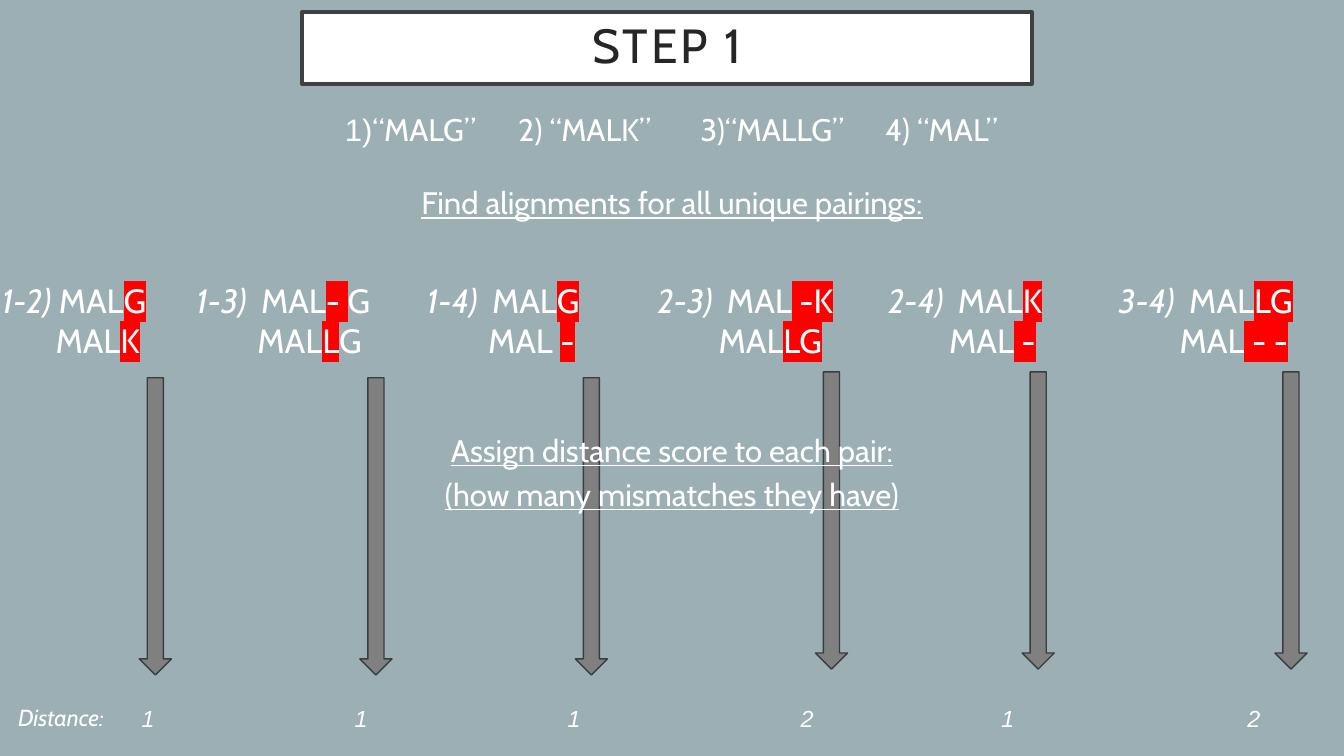
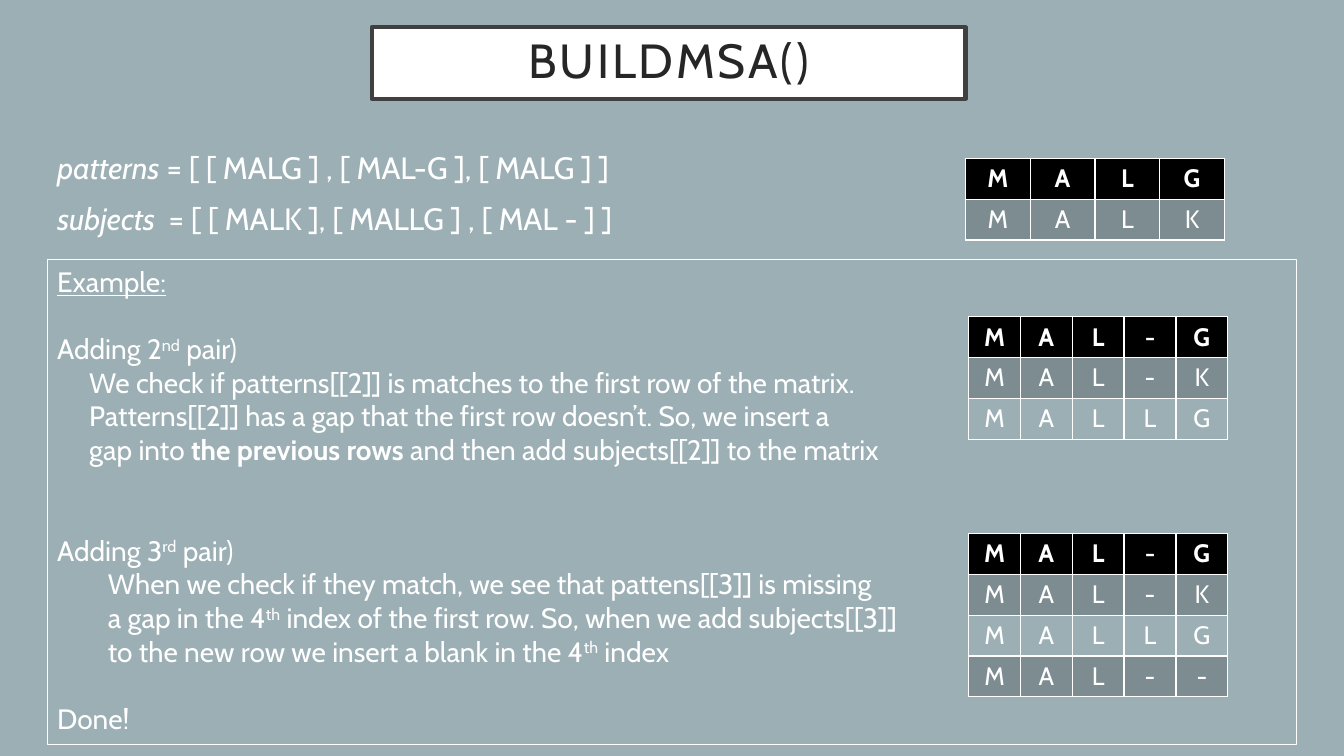
import dataclasses

import lxml.etree
import pptx
import pptx.dml.color
import pptx.enum.shapes
import pptx.enum.text
import pptx.oxml.ns
import pptx.util

Cm = pptx.util.Cm
Pt = pptx.util.Pt
qn = pptx.oxml.ns.qn
ALIGN = pptx.enum.text.PP_ALIGN
ANCHOR = pptx.enum.text.MSO_ANCHOR
SHAPE = pptx.enum.shapes.MSO_SHAPE


@dataclasses.dataclass(frozen=True)
class Theme:
    font: str = "Cabin"
    digit_font: str = "Arial"
    background: str = "9BAFB5"
    text: str = "FFFFFF"
    title_text: str = "262626"
    title_fill: str = "FFFFFF"
    title_line: str = "404040"
    arrow_fill: str = "808080"
    arrow_line: str = "383E40"
    mismatch: str = "FF0000"
    header_row: str = "000000"
    band_row: str = "7C8C91"
    title_size: float = 34.2
    sequence_size: float = 24
    heading_size: float = 22.2
    list_size: float = 22
    example_size: float = 20
    cell_size: float = 18
    distance_size: float = 16.6


THEME = Theme()
ITALIC = {"italic": True}
MISMATCH = {"highlight": THEME.mismatch}
RAISED = {"raised": True}
DIGIT = {"font": THEME.digit_font}

SEQUENCES = [
    (8.44, [("1)", DIGIT), "“MALG”"]),
    (12.81, ["2) “MALK”"]),
    (17.4, ["3)“MALLG”"]),
    (22.06, ["4) “MAL”"]),
]
PAIRS = [
    ("1-2)", ["MAL", ("G", MISMATCH)], ["MAL", ("K", MISMATCH)]),
    ("1-3)", ["MAL", ("- ", MISMATCH), "G"], ["MAL", ("L", MISMATCH), "G"]),
    ("1-4)", ["MAL", ("G", MISMATCH)], ["MAL ", ("-", MISMATCH)]),
    ("2-3)", ["MAL", (" -K", MISMATCH)], ["MAL", ("LG", MISMATCH)]),
    ("2-4)", ["MAL", ("K", MISMATCH)], ["MAL", (" -", MISMATCH)]),
    ("3-4)", ["MAL", ("LG", MISMATCH)], ["MAL", (" - -", MISMATCH)]),
]
ARROWS = [(3.51, 9.52), (9.07, 9.52), (14.5, 9.52), (20.55, 9.37), (25.76, 9.37), (32.13, 9.37)]
SCORES = [(3.73, "1"), (9.1, "1"), (14.47, "1"), (20.34, "2"), (25.4, "1"), (31.6, "2")]
MATRICES = [
    (24.33, 3.99, ["MALG", "MALK"]),
    (24.41, 7.98, ["MAL-G", "MAL-K", "MALLG"]),
    (24.41, 13.44, ["MAL-G", "MAL-K", "MALLG", "MAL--"]),
]


def rgb(value):
    return pptx.dml.color.RGBColor.from_string(value)


def paint(shape, fill, line, width):
    if fill:
        shape.fill.solid()
        shape.fill.fore_color.rgb = rgb(fill)
    else:
        shape.fill.background()
    shape.line.color.rgb = rgb(line)
    shape.line.width = Pt(width)


def place(shape, left, top, width, height):
    shape.left, shape.top = Cm(left), Cm(top)
    shape.width, shape.height = Cm(width), Cm(height)


def write_text(para, text, size, color=THEME.text, font=THEME.font, bold=False, italic=False,
               underline=False, raised=False, spacing=None, highlight=None):
    span = para.add_run()
    span.text = text
    span.font.size = Pt(size)
    span.font.bold = bold
    span.font.italic = italic
    span.font.underline = underline
    span.font.color.rgb = rgb(color)
    span.font.name = font
    properties = span.font._element
    if raised:
        properties.set("baseline", "30000")
    if spacing:
        properties.set("spc", str(int(spacing * 100)))
    if highlight:
        mark = lxml.etree.Element(qn("a:highlight"))
        lxml.etree.SubElement(mark, qn("a:srgbClr")).set("val", highlight)
        properties.find(qn("a:latin")).addprevious(mark)


def add_paragraph(frame, spans, align=ALIGN.LEFT, line=1.0, before=0, indent=0, **style):
    para = frame.paragraphs[0]
    if para.runs:
        para = frame.add_paragraph()
    para.alignment = align
    para.line_spacing = line
    para.space_before = Pt(before)
    properties = para._p.get_or_add_pPr()
    properties.set("marL", str(Cm(indent)))
    properties.set("indent", "0")
    for span in spans:
        text, changes = (span, {}) if isinstance(span, str) else span
        write_text(para, text, **{**style, **changes})


def prepare_frame(shape, anchor=ANCHOR.TOP):
    frame = shape.text_frame
    frame.word_wrap = True
    frame.auto_size = pptx.enum.text.MSO_AUTO_SIZE.NONE
    frame.vertical_anchor = anchor
    return frame


def add_text_frame(page, *position):
    return prepare_frame(page.shapes.add_textbox(*map(Cm, position)))


def add_page(deck, title, title_place, body_place):
    page = deck.slides.add_slide(deck.slide_layouts[0])
    box = page.shapes.title
    place(box, *title_place)
    paint(box, THEME.title_fill, THEME.title_line, 3)
    frame = prepare_frame(box, ANCHOR.MIDDLE)
    frame.margin_left = frame.margin_right = Cm(0.76)
    frame.margin_top = frame.margin_bottom = Cm(0.51)
    add_paragraph(frame, [title], ALIGN.CENTER, 0.9, size=THEME.title_size,
                  color=THEME.title_text, spacing=2)
    body = page.placeholders[1]
    place(body, *body_place)
    return page, prepare_frame(body)


def add_shape(page, kind, fill, line, width, *position):
    shape = page.shapes.add_shape(kind, *map(Cm, position))
    shape.shadow.inherit = False
    paint(shape, fill, line, width)
    return shape


def add_arrow_behind(page, left, top):
    arrow = add_shape(page, SHAPE.DOWN_ARROW, THEME.arrow_fill, THEME.arrow_line, 1,
                      left, top, 0.81, 7.49)
    page.shapes._spTree.insert(2, arrow._element)


def add_pair(page, left, label, first, second, gap, indent):
    frame = add_text_frame(page, left, 6.93, 5.82, 2.31)
    add_paragraph(frame, [(label, ITALIC), (" ", {"spacing": gap}), *first],
                  size=THEME.sequence_size)
    add_paragraph(frame, second, indent=indent, size=THEME.sequence_size)


def add_borders(cell):
    properties = cell._tc.get_or_add_tcPr()
    for index, side in enumerate(("a:lnL", "a:lnR", "a:lnT", "a:lnB")):
        border = lxml.etree.Element(qn(side))
        border.set("w", str(Pt(1)))
        fill = lxml.etree.SubElement(border, qn("a:solidFill"))
        lxml.etree.SubElement(fill, qn("a:srgbClr")).set("val", THEME.text)
        properties.insert(index, border)


def add_matrix(page, left, top, rows):
    width, row_height = 6.53, 1.03
    count = len(rows[0])
    table = page.shapes.add_table(len(rows), count, Cm(left), Cm(top), Cm(width),
                                  Cm(row_height * len(rows))).table
    for column in table.columns:
        column.width = Cm(width / count)
    for row_index, letters in enumerate(rows):
        table.rows[row_index].height = Cm(row_height)
        band = THEME.band_row if row_index % 2 else THEME.background
        for column_index, letter in enumerate(letters):
            cell = table.cell(row_index, column_index)
            cell.fill.solid()
            cell.fill.fore_color.rgb = rgb(band if row_index else THEME.header_row)
            add_borders(cell)
            add_paragraph(cell.text_frame, [letter], ALIGN.CENTER,
                          size=THEME.cell_size, bold=row_index == 0)


def build_step_page(deck):
    page, body = add_page(deck, "STEP 1", (7.61, 0.31, 18.39, 1.8), (0.2, 4.68, 33.47, 14.37))
    for text, before in (
        ("Find alignments for all unique pairings:", 10),
        ("Assign distance score to each pair:", 155.7),
        ("(how many mismatches they have)", 10),
    ):
        add_paragraph(body, [text], ALIGN.CENTER, 0.8, before, size=THEME.heading_size,
                      underline=True)
    add_paragraph(body, ["Distance:"], line=0.8, before=140, size=THEME.distance_size, italic=True)
    for left, spans in SEQUENCES:
        frame = add_text_frame(page, left, 2.84, 4.3, 1.3)
        add_paragraph(frame, spans, line=0.8, before=10, size=THEME.heading_size)
    for index, pair in enumerate(PAIRS):
        left = 4.7 + 5.81 * (index - 1) if index else -0.2
        gap, indent = (5, 1.54) if index else (None, 1.35)
        add_pair(page, left, *pair, gap=gap, indent=indent)
    for center, score in SCORES:
        frame = add_text_frame(page, center - 0.6, 17.62, 1.2, 0.95)
        add_paragraph(frame, [score], ALIGN.CENTER, size=THEME.distance_size, italic=True, **DIGIT)
    for position in ARROWS:
        add_arrow_behind(page, *position)


def build_matrix_page(deck):
    page, body = add_page(deck, "BUILDMSA()", (9.37, 0.69, 14.96, 1.8), (1.19, 3.63, 15.75, 3.18))
    for name, gap, value in (
        ("patterns", None, "= [ [ MALG ] , [ MAL-G ], [ MALG ] ]"),
        ("subjects", 4.6, "= [ [ MALK ], [ MALLG ] , [ MAL - ] ]"),
    ):
        add_paragraph(body, [(name, ITALIC), (" ", {"spacing": gap}), value], before=10,
                      size=THEME.list_size)
    box = add_shape(page, SHAPE.RECTANGLE, None, THEME.text, 0.75, 1.19, 6.54, 31.48, 12.22)
    frame = prepare_frame(box)
    second, third = 0.81, 1.28
    for spans, before, indent in (
        ([("Example:", {"underline": True})], 0, 0),
        (["Adding 2", ("nd", RAISED), " pair)"], 24, 0),
        (["We check if patterns[[2]] is matches to the first row of the matrix."], 0, second),
        (["Patterns[[2]] has a gap that the first row doesn’t. So, we insert a"], 0, second),
        (["gap into ", ("the previous rows ", {"bold": True}),
          "and then add subjects[[2]] to the matrix"], 0, second),
        (["Adding 3", ("rd", RAISED), " pair)"], 48, 0),
        (["When we check if they match, we see that pattens[[3]] is missing"], 0, third),
        (["a gap in the 4", ("th", RAISED),
          " index of the first row. So, when we add subjects[[3]]"], 0, third),
        (["to the new row we insert a blank in the 4", ("th", RAISED), " index"], 0, third),
        (["Done!"], 24, 0),
    ):
        add_paragraph(frame, spans, before=before, indent=indent, size=THEME.example_size)
    for matrix in MATRICES:
        add_matrix(page, *matrix)


def main():
    deck = pptx.Presentation()
    deck.slide_width, deck.slide_height = Cm(33.87), Cm(19.05)
    background = deck.slide_master.background.fill
    background.solid()
    background.fore_color.rgb = rgb(THEME.background)
    build_step_page(deck)
    build_matrix_page(deck)
    deck.save("out.pptx")


if __name__ == "__main__":
    main()
